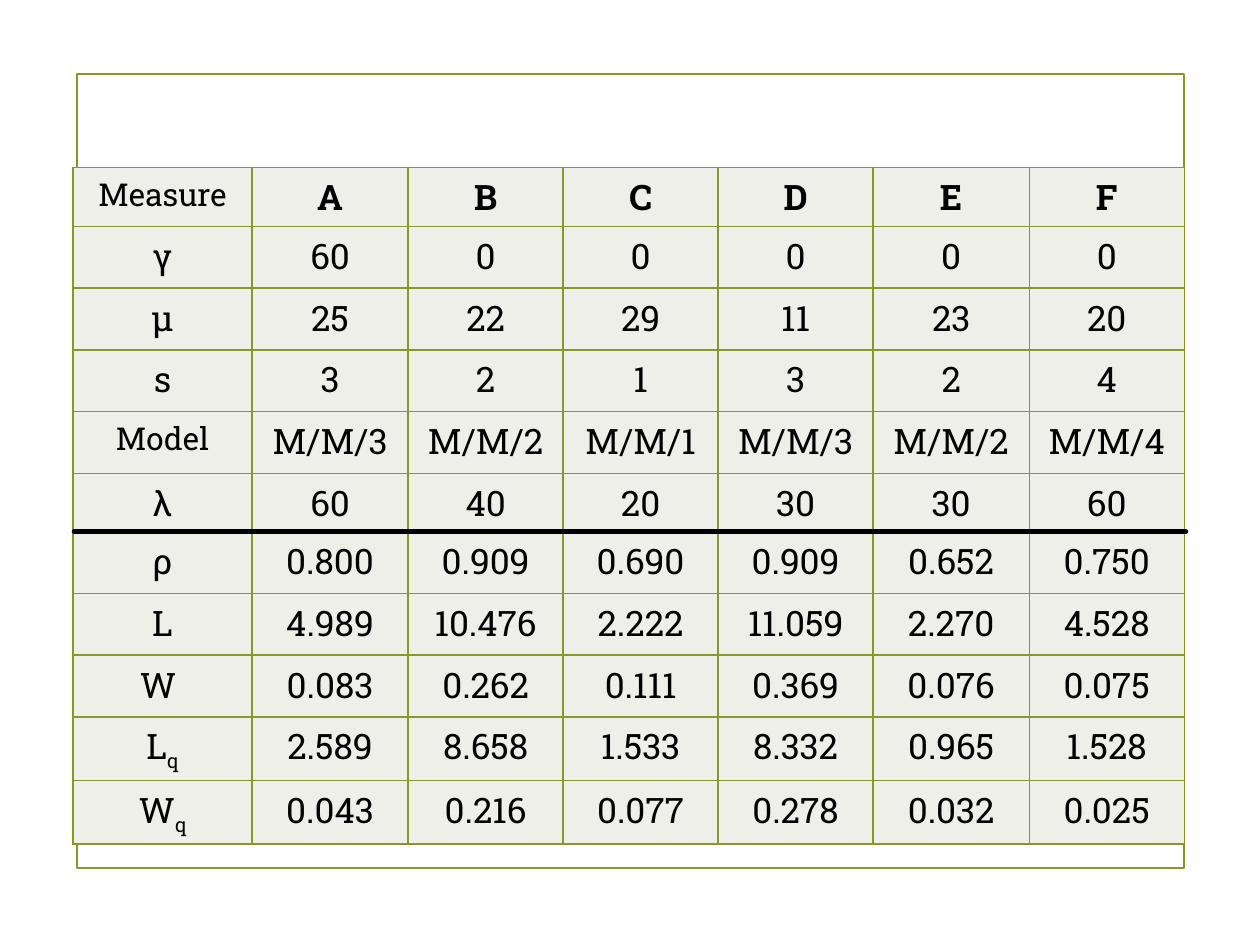
from dataclasses import dataclass
from lxml import etree
from pptx import Presentation
from pptx.dml.color import RGBColor
from pptx.enum import shapes, text
from pptx.oxml import ns
from pptx.util import Inches, Pt


@dataclass(frozen=True)
class Theme:
    """Colours, type and line sizes."""
    font: str = "Roboto Slab"
    ink: str = "000000"
    green: str = "83992A"
    pale: str = "EDEFE8"
    body: int = 20
    label: int = 18
    frame: float = 1.25
    grid: float = 1
    rule: float = 3


THEME = Theme()
COLS = [1.42, 1.24, 1.23, 1.23, 1.23, 1.24, 1.23]
LEFT, SPLIT, ROW, HEAD = 0.58, 4.22, 0.49, 0.45
INPUTS = [
    "Measure A B C D E F",
    "γ 60 0 0 0 0 0",
    "μ 25 22 29 11 23 20",
    "s 3 2 1 3 2 4",
    "Model M/M/3 M/M/2 M/M/1 M/M/3 M/M/2 M/M/4",
    "λ 60 40 20 30 30 60",
]
RESULTS = [
    "ρ 0.800 0.909 0.690 0.909 0.652 0.750",
    "L 4.989 10.476 2.222 11.059 2.270 4.528",
    "W 0.083 0.262 0.111 0.369 0.076 0.075",
    "L_q 2.589 8.658 1.533 8.332 0.965 1.528",
    "W_q 0.043 0.216 0.077 0.278 0.032 0.025",
]


def tint(name):
    """Turn a hex name into a colour."""
    return RGBColor.from_string(name)


def sub(parent, tag, **attrs):
    """Add a drawing element to its parent."""
    return etree.SubElement(parent, ns.qn(tag), attrs)


def add_frame(slide):
    """Draw the outline behind the tables."""
    box = slide.shapes.add_shape(
        shapes.MSO_SHAPE.RECTANGLE,
        Inches(0.61), Inches(0.59), Inches(8.79), Inches(6.3))
    box.shadow.inherit = False
    box.fill.background()
    box.line.color.rgb = tint(THEME.green)
    box.line.width = Pt(THEME.frame)


def edge_cell(cell):
    """Give a cell its four borders and its fill."""
    props = cell._tc.get_or_add_tcPr()
    for side in ("a:lnL", "a:lnR", "a:lnT", "a:lnB"):
        line = sub(props, side, w=str(Pt(THEME.grid)))
        sub(sub(line, "a:solidFill"), "a:srgbClr", val=THEME.green)
    cell.fill.solid()
    cell.fill.fore_color.rgb = tint(THEME.pale)


def fill_cell(cell, value, bold):
    """Write a centred value, lowering what follows an underscore."""
    para = cell.text_frame.paragraphs[0]
    para.alignment = text.PP_ALIGN.CENTER
    font = para.font
    font.name = THEME.font
    font.size = Pt(THEME.label if value in ("Measure", "Model") else THEME.body)
    font.bold = bold
    font.color.rgb = tint(THEME.ink)
    props = para._p.get_or_add_pPr()
    space = sub(props, "a:spcBef")
    sub(space, "a:spcPct", val="20000")
    props.insert(0, space)
    base, _, low = value.partition("_")
    para.add_run().text = base + " " if value == "W" else base
    if low:
        run = para.add_run()
        run.text = low
        run.font._element.set("baseline", "-25000")


def add_grid(slide, top, lines, heights):
    """Build one table from lines of values."""
    table = slide.shapes.add_table(
        len(lines), len(COLS), Inches(LEFT), Inches(top),
        Inches(sum(COLS)), Inches(sum(heights))).table
    table.first_row = table.horz_banding = False
    for col, width in zip(table.columns, COLS):
        col.width = Inches(width)
    for row, line, height in zip(table.rows, lines, heights):
        row.height = Inches(height)
        for cell, value in zip(row.cells, line.split()):
            edge_cell(cell)
            fill_cell(cell, value, value in "ABCDEF")


def add_rule(slide):
    """Draw the heavy line between inputs and results."""
    rule = slide.shapes.add_connector(
        shapes.MSO_CONNECTOR.STRAIGHT,
        Inches(0.59), Inches(SPLIT), Inches(9.41), Inches(SPLIT))
    rule.line.color.rgb = tint(THEME.ink)
    rule.line.width = Pt(THEME.rule)
    rule.line._get_or_add_ln().set("cap", "rnd")
    sub(rule._element.spPr, "a:effectLst")


def main():
    """Build and save the slide."""
    deck = Presentation()
    deck.slide_width, deck.slide_height = Inches(10), Inches(7.5)
    slide = deck.slides.add_slide(deck.slide_layouts[6])
    add_frame(slide)
    add_grid(slide, 1.33, INPUTS, [HEAD] + [ROW] * 5)
    add_grid(slide, SPLIT, RESULTS, [ROW] * 5)
    add_rule(slide)
    deck.save("out.pptx")


if __name__ == "__main__":
    main()
